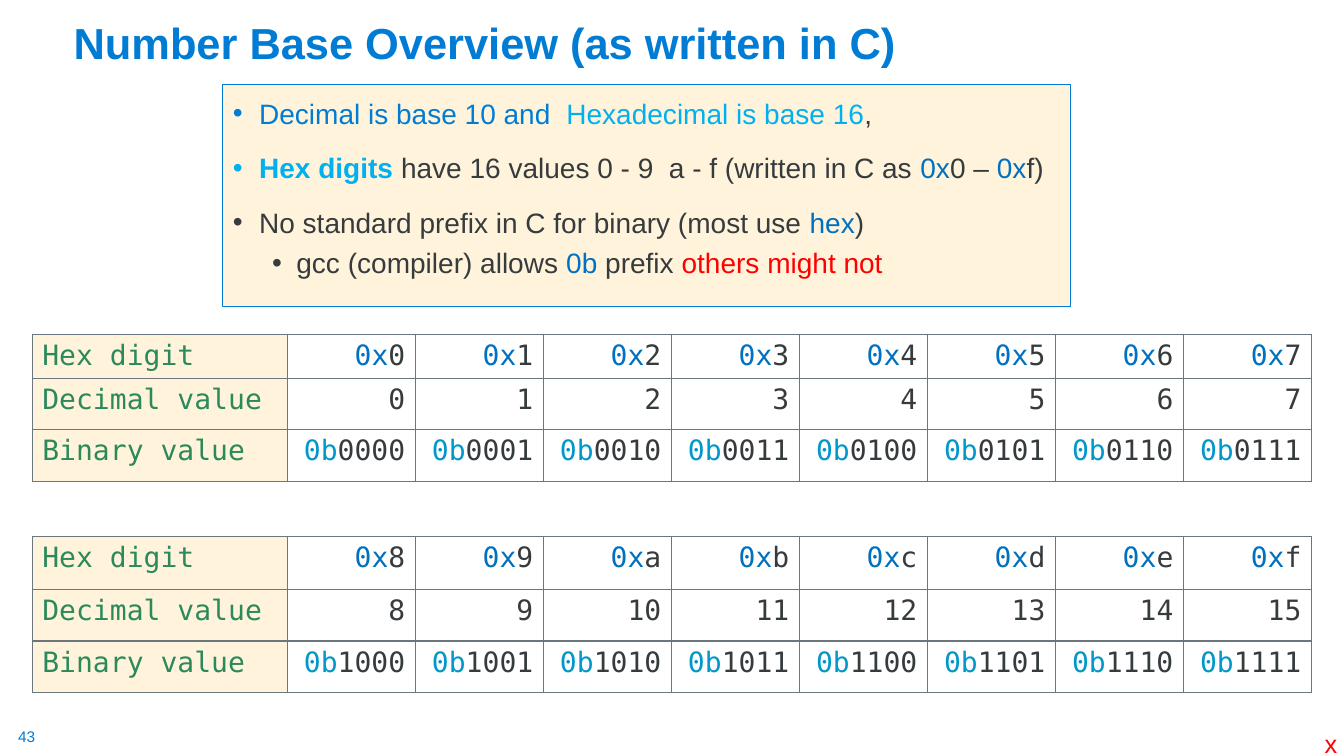
from lxml.etree import SubElement
from pptx import Presentation
from pptx.dml.color import RGBColor
from pptx.enum.text import MSO_ANCHOR, MSO_AUTO_SIZE, PP_ALIGN
from pptx.oxml.ns import qn
from pptx.util import Inches, Pt

COLORS = {
    "title": "007CD5",
    "cyan": "00B0F0",
    "text": "363B3E",
    "hex": "0070C0",
    "binary": "0098C9",
    "label": "2C895B",
    "warning": "FF0000",
    "cream": "FFF4DB",
    "grid": "6B767D",
}

BULLETS = [
    (0, [("Decimal is base 10 and  ", "title"), ("Hexadecimal is base 16", "cyan"), (",", "text")]),
    (0, [("Hex digits ", "cyan", True), ("have 16 values 0 - 9  a - f (written in C as ", "text"),
         ("0x", "hex"), ("0 – ", "text"), ("0x", "hex"), ("f)", "text")]),
    (0, [("No standard prefix in C for binary (most use ", "text"), ("hex", "hex"), (")", "text")]),
    (1, [("gcc (compiler) allows ", "text"), ("0b ", "hex"), ("prefix ", "text"),
         ("others might not", "warning")]),
]


def color(name):
    return RGBColor.from_string(COLORS[name])


def add_span(para, text, color_name, bold=False, size=20, font="Arial"):
    span = para.add_run()
    span.text = text
    span.font.name = font
    span.font.size = Pt(size)
    span.font.bold = bold
    span.font.color.rgb = color(color_name)


def place(shape, box):
    shape.left, shape.top, shape.width, shape.height = [Inches(length) for length in box]


def add_title(page, box):
    title = page.shapes.title
    place(title, box)
    frame = title.text_frame
    frame.auto_size = MSO_AUTO_SIZE.NONE
    frame.vertical_anchor = MSO_ANCHOR.BOTTOM
    para = frame.paragraphs[0]
    para.alignment = PP_ALIGN.LEFT
    para.line_spacing = 0.9
    add_span(para, "Number Base Overview (as written in C)", "title", True, 31)


def set_bullet(para, margin, indent):
    properties = para._p.get_or_add_pPr()
    properties.set("marL", str(Inches(margin)))
    properties.set("indent", str(Inches(indent)))
    SubElement(properties, qn("a:buFont"), typeface="Arial")
    SubElement(properties, qn("a:buChar"), char="•")


def add_overview(page, box):
    body = page.placeholders[1]
    place(body, box)
    body.fill.solid()
    body.fill.fore_color.rgb = color("cream")
    body.line.color.rgb = color("title")
    body.line.width = Pt(0.75)
    frame = body.text_frame
    frame.auto_size = MSO_AUTO_SIZE.NONE
    frame.vertical_anchor = MSO_ANCHOR.TOP
    for index, (level, spans) in enumerate(BULLETS):
        para = frame.add_paragraph() if index else frame.paragraphs[0]
        para.level = level
        set_bullet(para, *((0.63, -0.24) if level else (0.26, -0.26)))
        para.line_spacing = 1.0 if level else 1.2
        para.space_before = Pt((5 if level else 10) if index else 0)
        for span in spans:
            add_span(para, *span)


def set_borders(cell):
    properties = cell._tc.get_or_add_tcPr()
    for position, side in enumerate(("lnL", "lnR", "lnT", "lnB")):
        line = properties.makeelement(qn("a:" + side), {"w": str(Pt(1))})
        fill = SubElement(line, qn("a:solidFill"))
        SubElement(fill, qn("a:srgbClr"), val=COLORS["grid"])
        properties.insert(position, line)


def fill_cell(cell, spans, is_label):
    if is_label:
        cell.fill.solid()
        cell.fill.fore_color.rgb = color("cream")
    else:
        cell.fill.background()
    set_borders(cell)
    para = cell.text_frame.paragraphs[0]
    para.alignment = PP_ALIGN.LEFT if is_label else PP_ALIGN.RIGHT
    for text, color_name in spans:
        add_span(para, text, color_name, font="DejaVu Sans Mono")


def add_number_table(page, box, values, first_height):
    rows = [
        ("Hex digit", lambda value: [("0x", "hex"), (f"{value:x}", "text")]),
        ("Decimal value", lambda value: [(str(value), "text")]),
        ("Binary value", lambda value: [("0b", "binary"), (f"{value:04b}", "text")]),
    ]
    lengths = [Inches(length) for length in box]
    table = page.shapes.add_table(len(rows), len(values) + 1, *lengths).table
    table.first_row = False
    table.horz_banding = False
    for index, column in enumerate(table.columns):
        column.width = Inches(1.27 if index else 2.53)
    for index, (label, spans_for) in enumerate(rows):
        table.rows[index].height = Inches(0.51 if index else first_height)
        fill_cell(table.cell(index, 0), [(label, "label")], True)
        for column, value in enumerate(values, 1):
            fill_cell(table.cell(index, column), spans_for(value), False)


def add_note(page, box, text, color_name, size, margins):
    note = page.shapes.add_textbox(*[Inches(length) for length in box])
    frame = note.text_frame
    frame.word_wrap = False
    frame.margin_left = frame.margin_right = Inches(margins[0])
    frame.margin_top = frame.margin_bottom = Inches(margins[1])
    add_span(frame.paragraphs[0], text, color_name, size=size)


def main():
    deck = Presentation()
    deck.slide_width = Inches(13.33)
    deck.slide_height = Inches(7.5)
    page = deck.slides.add_slide(deck.slide_layouts[1])
    add_note(page, (0.18, 7.21, 0.19, 0.19), "43", "title", 11, (0, 0))
    add_overview(page, (2.21, 0.84, 8.41, 2.2))
    add_title(page, (0.63, 0.15, 11.5, 0.58))
    add_number_table(page, (0.32, 3.32, 12.69, 1.45), range(8), 0.43)
    add_number_table(page, (0.32, 5.32, 12.69, 1.55), range(8, 16), 0.53)
    add_note(page, (13.04, 7.18, 0.33, 0.4), "x", "warning", 18, (0.1, 0.05))
    deck.save("out.pptx")


if __name__ == "__main__":
    main()
